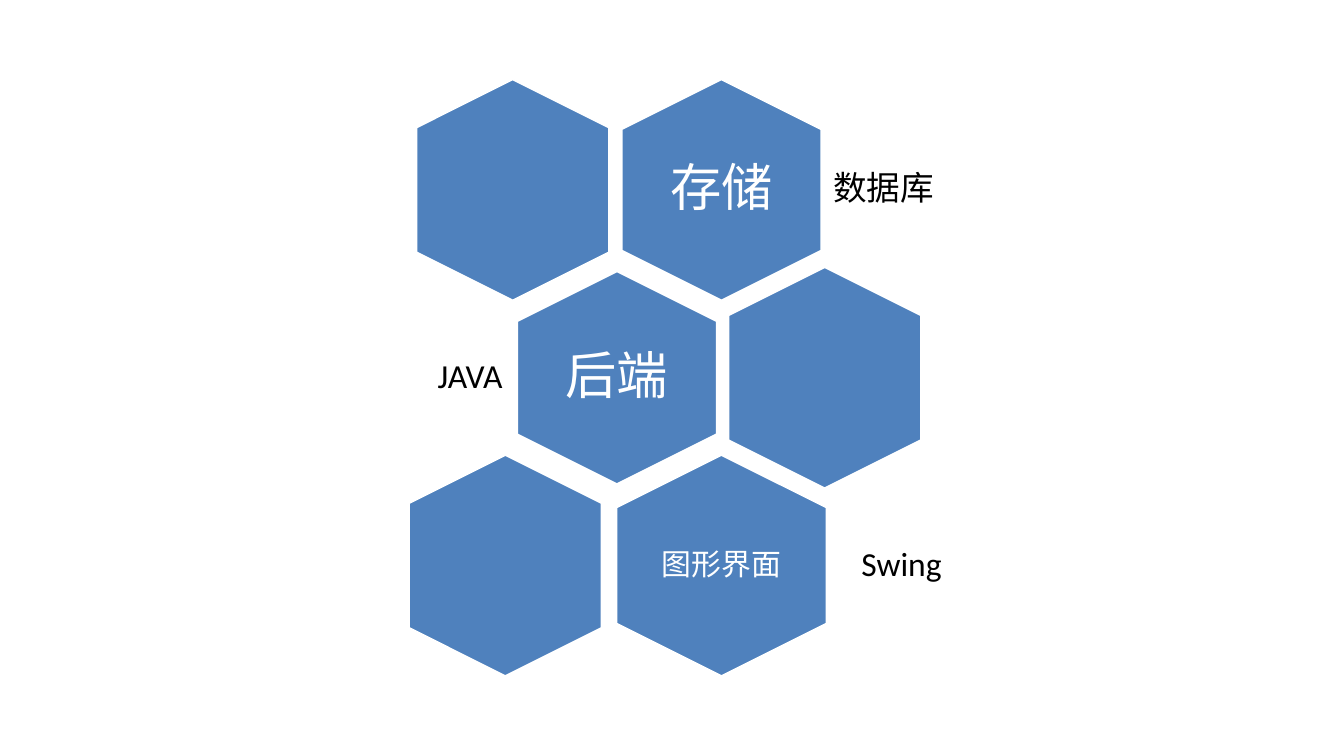
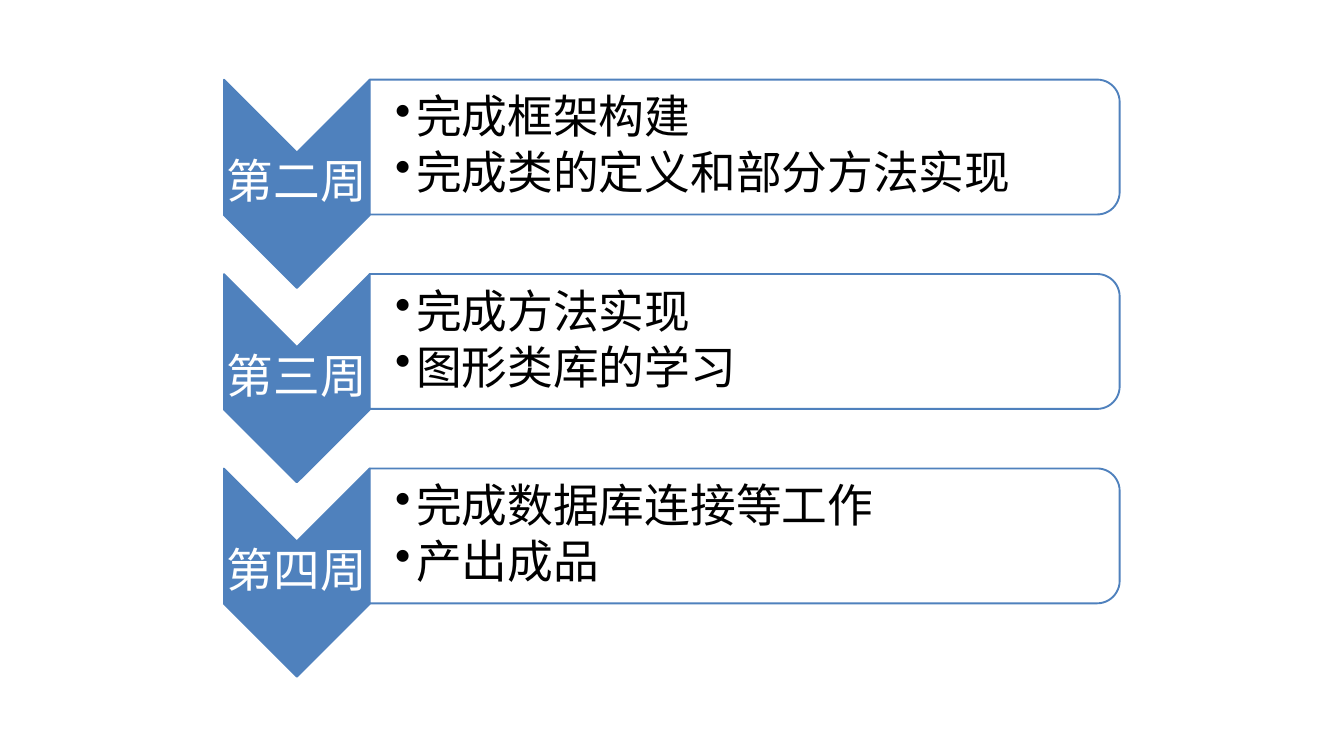
import pptx
import pptx.dml.color
import pptx.enum.shapes
import pptx.enum.text
import pptx.oxml.ns
import pptx.util
from lxml import etree

Cm = pptx.util.Cm
Pt = pptx.util.Pt
PRESET = pptx.enum.shapes.MSO_SHAPE
ALIGN = pptx.enum.text.PP_ALIGN
qn = pptx.oxml.ns.qn

BLUE, WHITE, BLACK = "4F81BD", "FFFFFF", "000000"


def colour(hex_code):
    return pptx.dml.color.RGBColor.from_string(hex_code)


class Deck:
    """Holds the shared style and the current slide; lengths are in cm."""

    font = "Calibri"
    line_width = 2
    line_spacing = 0.9
    bullet_indent = 0.79

    def __init__(self, width, height):
        self.presentation = pptx.Presentation()
        self.presentation.slide_width = Cm(width)
        self.presentation.slide_height = Cm(height)
        self.slide = None

    def new_slide(self):
        blank = self.presentation.slide_layouts[6]
        self.slide = self.presentation.slides.add_slide(blank)

    def turned_shape(self, preset, x, y, length, breadth, fill, line, opacity=100):
        """Preset shape turned by a quarter about its centre (x, y)."""
        shape = self.slide.shapes.add_shape(
            preset, Cm(x - length / 2), Cm(y - breadth / 2), Cm(length), Cm(breadth))
        shape.rotation = 90
        shape.shadow.inherit = False
        shape.fill.solid()
        shape.fill.fore_color.rgb = colour(fill)
        if opacity < 100:
            fill_colour = shape.fill._xPr.find(qn("a:solidFill"))[0]
            etree.SubElement(fill_colour, qn("a:alpha"), val=str(opacity * 1000))
        shape.line.color.rgb = colour(line)
        shape.line.width = Pt(self.line_width)

    def text(self, left, y, width, height, lines, size, hex_code, align=ALIGN.LEFT,
             inset=0.08, left_inset=None, space_after=0.35, bullets=False):
        """Text box centred vertically on y, one paragraph per line."""
        box = self.slide.shapes.add_textbox(
            Cm(left), Cm(y - height / 2), Cm(width), Cm(height))
        frame = box.text_frame
        frame.word_wrap = True
        frame.vertical_anchor = pptx.enum.text.MSO_ANCHOR.MIDDLE
        frame.margin_top = frame.margin_right = frame.margin_bottom = Cm(inset)
        frame.margin_left = Cm(inset if left_inset is None else left_inset)
        for index, line in enumerate(lines):
            paragraph = frame.add_paragraph() if index else frame.paragraphs[0]
            paragraph.alignment = align
            paragraph.line_spacing = self.line_spacing
            paragraph.space_after = Pt(round(size * space_after, 1))
            if bullets:
                self.bullet(paragraph)
            run = paragraph.add_run()
            run.text = line
            run.font.name = self.font
            run.font.size = Pt(size)
            run.font.color.rgb = colour(hex_code)

    def bullet(self, paragraph):
        paragraph.level = 1
        properties = paragraph._p.get_or_add_pPr()
        properties.set("marL", str(Cm(self.bullet_indent)))
        properties.set("indent", str(-Cm(self.bullet_indent)))
        etree.SubElement(properties, qn("a:buChar"), char="•")

    def save(self):
        self.presentation.save("out.pptx")


def architecture_slide(deck):
    deck.new_slide()
    first_row, row_pitch = 7.18, 7.1
    hexagon_length, plain_breadth = 8.36, 7.28
    label_width, label_height = 5.2, 5.6
    note_height = 5.03

    # Layer: x, length, breadth, label, size, inset; note: text, left, width, align; plain x
    layers = [
        (27.27, hexagon_length, 7.54, "存储", 55, 0.58,
         "数据库", 31.12, 9.35, ALIGN.LEFT, 19.38),
        (23.32, 8.05, 7.54, "后端", 55, 0.58,
         "JAVA", 10.34, 9.04, ALIGN.RIGHT, 31.17),
        (27.27, hexagon_length, 7.95, "图形界面", 32, 0.33,
         "Swing", 32.18, 9.35, ALIGN.LEFT, 19.1),
    ]
    for row, (x, length, breadth, label, size, inset,
              note, note_left, note_width, align, plain_x) in enumerate(layers):
        y = first_row + row * row_pitch
        deck.turned_shape(PRESET.HEXAGON, x, y, length, breadth, BLUE, WHITE)
        deck.text(x - label_width / 2, y, label_width, label_height, [label],
                  size, WHITE, ALIGN.CENTER, inset)
        deck.text(note_left, y, note_width, note_height, [note], 36, BLACK, align, 0.38)
        deck.turned_shape(PRESET.HEXAGON, plain_x, y, hexagon_length, plain_breadth,
                          BLUE, WHITE)


def schedule_slide(deck):
    deck.new_slide()
    week_pitch = 7.35
    chevron_x, chevron_y, chevron_length, chevron_breadth = 11.22, 6.95, 7.87, 5.51
    panel_left, panel_y, panel_width, panel_height = 13.97, 5.56, 28.35, 5.1

    weeks = [
        ("第二周", ["完成框架构建", "完成类的定义和部分方法实现"]),
        ("第三周", ["完成方法实现", "图形类库的学习"]),
        ("第四周", ["完成数据库连接等工作", "产出成品"]),
    ]
    for index, (week, tasks) in enumerate(weeks):
        offset = index * week_pitch
        # Week marker
        deck.turned_shape(PRESET.CHEVRON, chevron_x, chevron_y + offset,
                          chevron_length, chevron_breadth, BLUE, BLUE)
        deck.text(chevron_x - chevron_breadth / 2, chevron_y + offset, chevron_breadth,
                  2.36, [week], 50, WHITE, ALIGN.CENTER)
        # Task panel
        deck.turned_shape(PRESET.ROUND_2_SAME_RECTANGLE, panel_left + panel_width / 2,
                          panel_y + offset, panel_height, panel_width, WHITE, BLUE, 90)
        deck.text(panel_left, panel_y + offset, 28.12, 4.62, tasks, 49, BLACK,
                  left_inset=0.97, space_after=0.15, bullets=True)


def main():
    deck = Deck(50.8, 28.58)
    architecture_slide(deck)
    schedule_slide(deck)
    deck.save()


if __name__ == "__main__":
    main()
